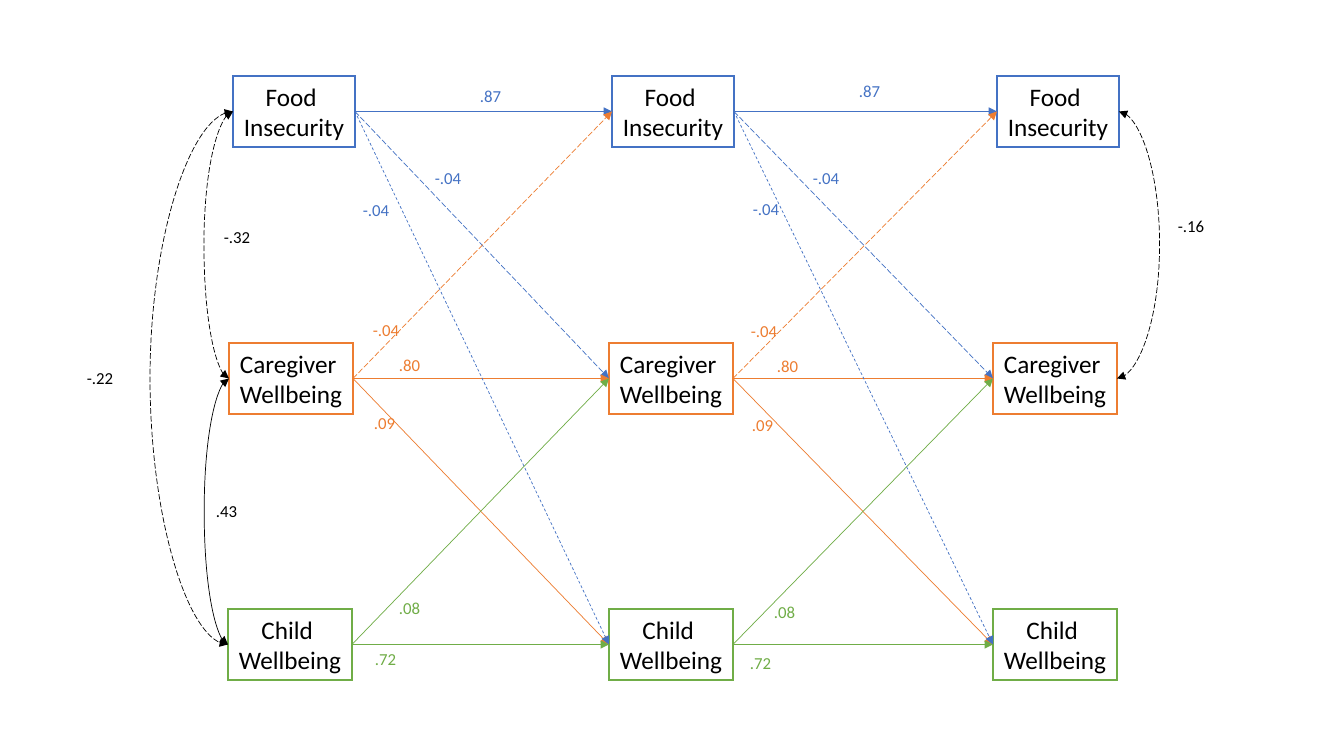
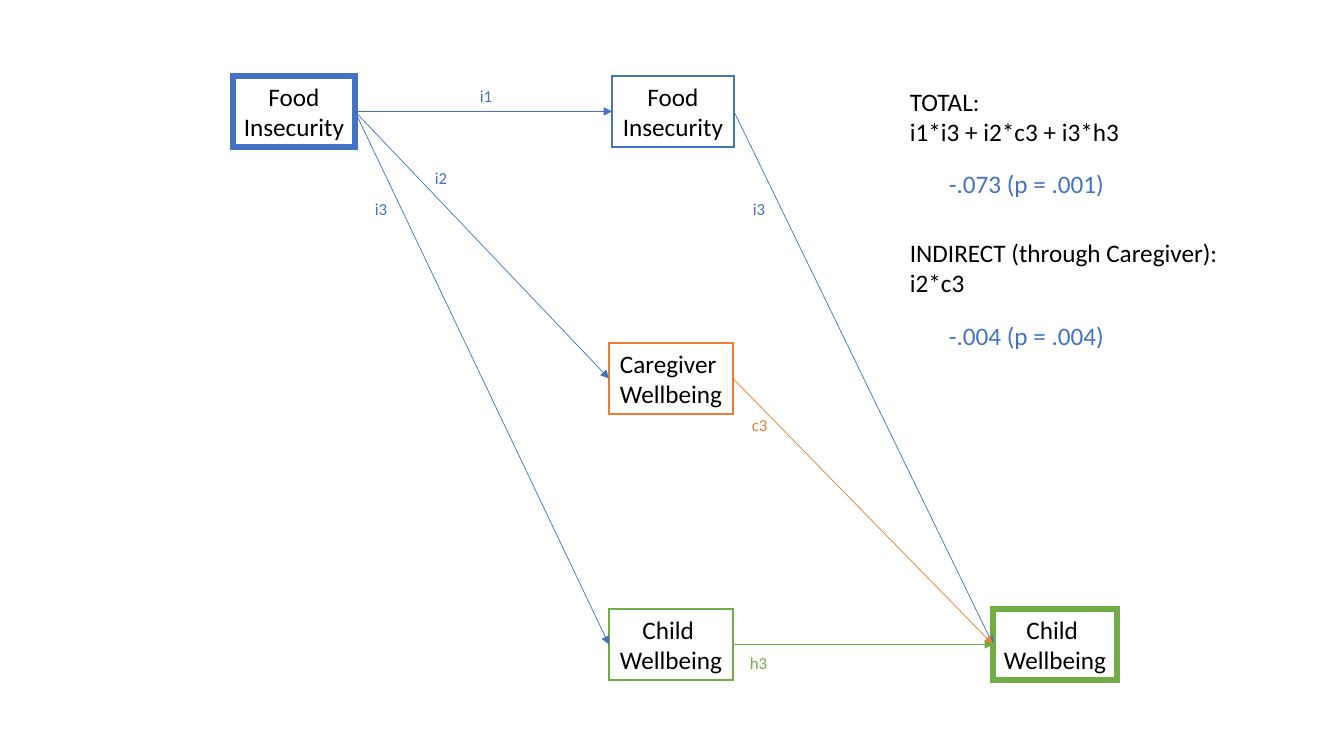
"""Build two cross-lagged path diagrams of food insecurity and wellbeing."""
from dataclasses import dataclass, replace

from lxml.etree import SubElement
from pptx import Presentation
from pptx.dml.color import RGBColor
from pptx.enum.dml import MSO_LINE
from pptx.enum.shapes import MSO_CONNECTOR, MSO_SHAPE
from pptx.enum.text import MSO_ANCHOR, MSO_AUTO_SIZE, PP_ALIGN
from pptx.oxml.ns import qn
from pptx.shapes.autoshape import Shape
from pptx.shapes.connector import Connector
from pptx.slide import Slide
from pptx.util import Emu, Pt

SCALE = 914400 / 100.8
FONT = "Calibri"
COLORS = {
    "blue": "4472C4",
    "orange": "ED7D31",
    "green": "70AD47",
    "black": "000000",
    "white": "FFFFFF",
}
LEFT, RIGHT = 1, 3
BOX_HEIGHT, LABEL_HEIGHT = 71, 30


@dataclass(frozen=True)
class Row:
    """One measured variable, with its box at each of three waves."""
    name: str
    second: str
    color: str
    y: int
    width: int
    lefts: tuple[int, int, int]


@dataclass(frozen=True)
class Path:
    """A straight arrow from one variable to another at the next wave."""
    start: str
    end: str
    wave: int
    dash: MSO_LINE | None = None


@dataclass(frozen=True)
class Curve:
    """A two-headed curve between variables at the same wave."""
    start: str
    end: str
    wave: int
    side: int
    bulge: int
    dash: MSO_LINE | None = MSO_LINE.LONG_DASH


@dataclass(frozen=True)
class Label:
    """A short text at a place."""
    text: str
    x: int
    y: int
    width: int
    color: str
    size: int = 12
    height: int = LABEL_HEIGHT


ROWS = {
    "food": Row("Food ", "Insecurity", "blue", 76, 122, (233, 612, 997)),
    "caregiver": Row("Caregiver ", "Wellbeing", "orange", 343, 124, (229, 609, 993)),
    "child": Row("Child ", "Wellbeing", "green", 609, 124, (228, 609, 993)),
}
TRIMMED_FOOD = replace(ROWS["food"], name="Food")
Nodes = dict[tuple[str, int], Shape]

LAGS = (
    ("food", "food", None),
    ("food", "caregiver", MSO_LINE.LONG_DASH),
    ("caregiver", "caregiver", None),
    ("caregiver", "food", MSO_LINE.LONG_DASH),
    ("caregiver", "child", None),
    ("child", "caregiver", None),
    ("child", "child", None),
    ("food", "child", MSO_LINE.DASH),
)
CURVES = (
    Curve("food", "caregiver", 0, LEFT, 204),
    Curve("food", "child", 0, LEFT, 150),
    Curve("caregiver", "child", 0, LEFT, 204, None),
    Curve("food", "caregiver", 2, RIGHT, 1160),
)
ESTIMATES = (
    Label(".87", 470, 81, 42, "blue"),
    Label(".87", 849, 76, 42, "blue"),
    Label("-.04", 425, 163, 47, "blue"),
    Label("-.04", 353, 195, 47, "blue"),
    Label("-.04", 803, 163, 47, "blue"),
    Label("-.04", 743, 194, 47, "blue"),
    Label(".80", 389, 350, 42, "orange"),
    Label(".09", 364, 408, 42, "orange"),
    Label("-.04", 363, 315, 47, "orange"),
    Label(".80", 767, 351, 42, "orange"),
    Label(".09", 742, 410, 42, "orange"),
    Label("-.04", 741, 316, 47, "orange"),
    Label(".08", 389, 593, 42, "green"),
    Label(".72", 365, 644, 42, "green"),
    Label(".08", 764, 597, 42, "green"),
    Label(".72", 740, 648, 42, "green"),
    Label(".43", 206, 496, 42, "black"),
    Label("-.32", 214, 222, 47, "black"),
    Label("-.22", 77, 363, 47, "black"),
    Label("-.16", 1168, 211, 47, "black"),
)
EFFECT_PATHS = (
    Path("food", "food", 0),
    Path("food", "caregiver", 0),
    Path("food", "child", 0),
    Path("food", "child", 1),
    Path("caregiver", "child", 1),
    Path("child", "child", 1),
)
EFFECT_LABELS = (
    Label("i1", 470, 81, 33, "blue"),
    Label("i2", 425, 163, 33, "blue"),
    Label("i3", 365, 194, 33, "blue"),
    Label("i3", 743, 194, 33, "blue"),
    Label("c3", 742, 410, 36, "orange"),
    Label("h3", 740, 648, 38, "green"),
    Label("-.073 (p = .001)", 939, 163, 177, "blue", 18, 40),
    Label("-.004 (p = .004)", 939, 315, 177, "blue", 18, 40),
)
FORMULAS = Label(
    "TOTAL:\ni1*i3 + i2*c3 + i3*h3\nINDIRECT (through Caregiver):\ni2*c3",
    900, 81, 332, "black", 18, 224,
)


def px(value: float) -> Emu:
    """Turn pixels into EMU."""
    return Emu(round(value * SCALE))


def rgb(name: str) -> RGBColor:
    """Look up a named colour."""
    return RGBColor.from_string(COLORS[name])


def put_text(
    sp: Shape,
    text: str,
    *,
    size: int,
    color: str = "black",
    align: PP_ALIGN = PP_ALIGN.LEFT,
    gaps: dict[int, float] | None = None,
) -> None:
    """Write one paragraph per line, with optional space before some of them."""
    tf = sp.text_frame
    tf.word_wrap = False
    tf.auto_size = MSO_AUTO_SIZE.SHAPE_TO_FIT_TEXT
    tf.vertical_anchor = MSO_ANCHOR.TOP
    for i, line in enumerate(text.split("\n")):
        p = tf.add_paragraph() if i else tf.paragraphs[0]
        p.alignment = align
        if gaps and i in gaps:
            p.space_before = Pt(gaps[i])
        r = p.add_run()
        r.text = line
        r.font.name = FONT
        r.font.size = Pt(size)
        r.font.color.rgb = rgb(color)


def add_box(s: Slide, row: Row, wave: int, weight: float = 1) -> Shape:
    """Draw the square-cornered box of a variable at one wave."""
    sp = s.shapes.add_shape(
        MSO_SHAPE.RECTANGLE, px(row.lefts[wave]), px(row.y), px(row.width), px(BOX_HEIGHT)
    )
    sp.shadow.inherit = False
    sp.fill.solid()
    sp.fill.fore_color.rgb = rgb("white")
    sp.line.color.rgb = rgb(row.color)
    sp.line.width = Pt(weight)
    SubElement(sp.line._get_or_add_ln(), qn("a:miter"), lim="800000")
    put_text(sp, f"{row.name}\n{row.second}", size=18, align=PP_ALIGN.CENTER)
    return sp


def add_label(s: Slide, label: Label, gaps: dict[int, float] | None = None) -> None:
    """Draw a label."""
    sp = s.shapes.add_textbox(px(label.x), px(label.y), px(label.width), px(label.height))
    put_text(sp, label.text, size=label.size, color=label.color, gaps=gaps)


def join(
    s: Slide,
    kind: MSO_CONNECTOR,
    ends: tuple[Shape, Shape],
    sites: tuple[int, int],
    color: str,
    dash: MSO_LINE | None,
    heads: tuple[str, ...],
) -> Connector:
    """Glue a thin connector with arrowheads to two boxes."""
    con = s.shapes.add_connector(kind, 0, 0, 0, 0)
    con.begin_connect(ends[0], sites[0])
    con.end_connect(ends[1], sites[1])
    con.line.color.rgb = rgb(color)
    con.line.width = Pt(0.5)
    if dash is not None:
        con.line.dash_style = dash
    for head in heads:
        SubElement(con.line._get_or_add_ln(), qn(f"a:{head}"), type="triangle")
    SubElement(con._element.spPr, qn("a:effectLst"))
    return con


def add_path(s: Slide, nodes: Nodes, path: Path) -> None:
    """Draw an arrow to the next wave in the colour of its start."""
    ends = nodes[path.start, path.wave], nodes[path.end, path.wave + 1]
    color = ROWS[path.start].color
    join(s, MSO_CONNECTOR.STRAIGHT, ends, (RIGHT, LEFT), color, path.dash, ("tailEnd",))


def add_curve(s: Slide, nodes: Nodes, curve: Curve) -> None:
    """Draw a two-headed curve that swings out to its bulge."""
    ends = nodes[curve.start, curve.wave], nodes[curve.end, curve.wave]
    con = join(
        s, MSO_CONNECTOR.CURVE, ends, (curve.side, curve.side), "black", curve.dash,
        ("headEnd", "tailEnd"),
    )
    ratio = (px(curve.bulge) - con.begin_x) / (con.end_x - con.begin_x)
    geom = con._element.spPr.find(qn("a:prstGeom"))
    geom.set("prst", "curvedConnector3")
    guides = geom.find(qn("a:avLst"))
    if guides is None:
        guides = SubElement(geom, qn("a:avLst"))
    SubElement(guides, qn("a:gd"), name="adj1", fmla=f"val {round(ratio * 100000)}")
    if curve.side == LEFT:
        xfrm = con._element.spPr.find(qn("a:xfrm"))
        xfrm.set("rot", "10800000")
        for flip in ("flipH", "flipV"):
            xfrm.set(flip, "0" if xfrm.get(flip) in ("1", "true") else "1")


def build_estimates(s: Slide) -> None:
    """Draw the full model with its estimates."""
    nodes = {(key, wave): add_box(s, row, wave) for wave in range(3) for key, row in ROWS.items()}
    for start, end, dash in LAGS:
        for wave in range(2):
            add_path(s, nodes, Path(start, end, wave, dash))
    for curve in CURVES:
        add_curve(s, nodes, curve)
    for label in ESTIMATES:
        add_label(s, label)


def build_effects(s: Slide) -> None:
    """Draw the paths from food insecurity to child wellbeing."""
    nodes = {
        ("food", 0): add_box(s, TRIMMED_FOOD, 0, 4.5),
        ("food", 1): add_box(s, TRIMMED_FOOD, 1),
        ("caregiver", 1): add_box(s, ROWS["caregiver"], 1),
        ("child", 1): add_box(s, ROWS["child"], 1),
        ("child", 2): add_box(s, ROWS["child"], 2, 4.5),
    }
    for path in EFFECT_PATHS:
        add_path(s, nodes, path)
    add_label(s, FORMULAS, gaps={2: 65})
    for label in EFFECT_LABELS:
        add_label(s, label)


prs = Presentation()
prs.slide_width, prs.slide_height = px(1344), px(756)
for build in (build_estimates, build_effects):
    build(prs.slides.add_slide(prs.slide_layouts[6]))
prs.save("out.pptx")
